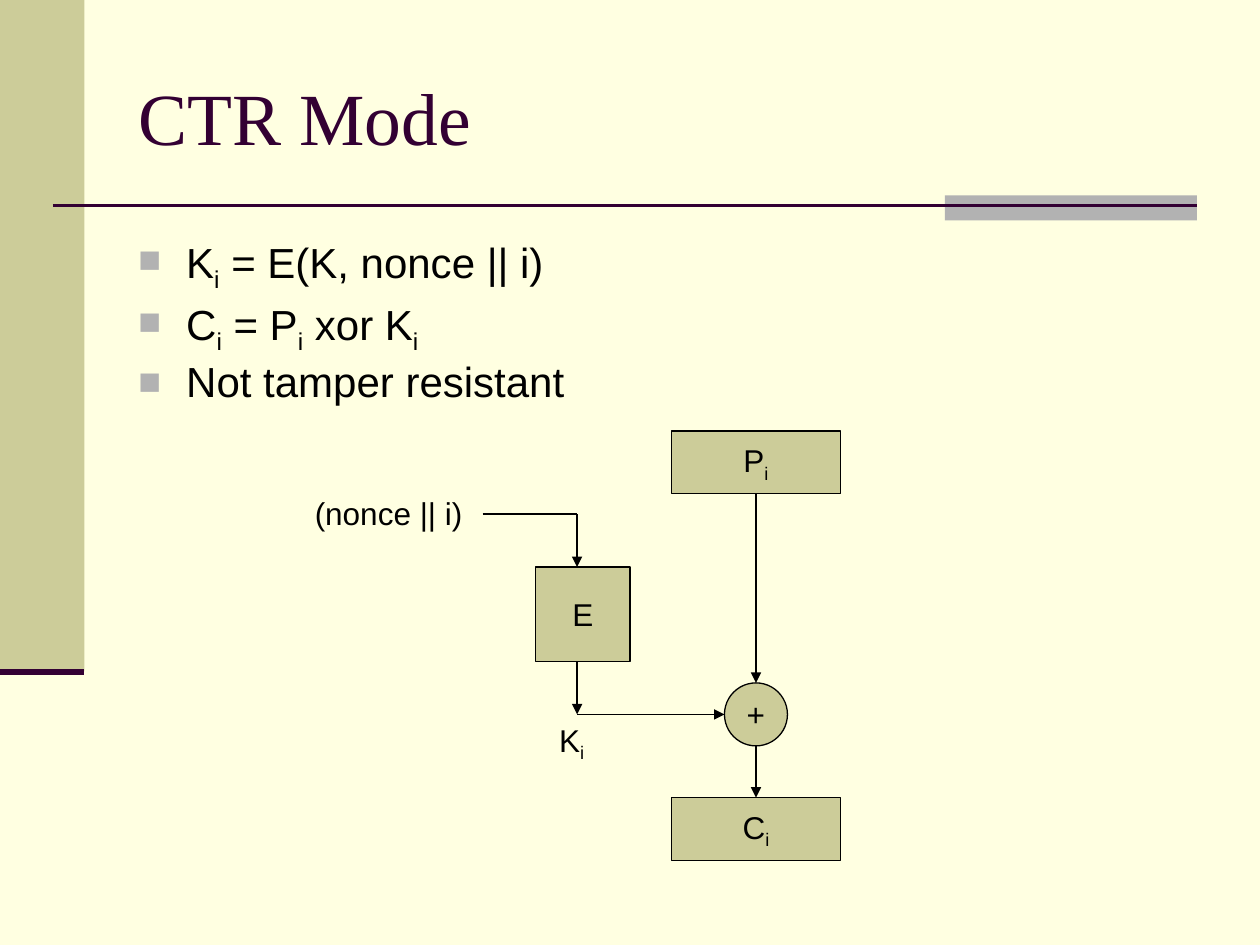
from lxml import etree
from pptx import Presentation
from pptx.dml.color import RGBColor
from pptx.enum.shapes import MSO_CONNECTOR, MSO_SHAPE
from pptx.enum.text import MSO_ANCHOR, MSO_AUTO_SIZE, PP_ALIGN
from pptx.oxml.ns import qn
from pptx.util import Inches, Pt

COLORS = {
    "paper": "FFFFE1",
    "olive": "CCCC99",
    "gray": "B2B2B2",
    "plum": "330033",
    "black": "000000",
}
RGB = {name: RGBColor.from_string(value) for name, value in COLORS.items()}


def add_runs(p, text, size, font="Arial", color="black"):
    for i, part in enumerate(text.split("_")):
        if part:
            r = p.add_run()
            r.text = part
            r.font.size = Pt(size)
            r.font.name = font
            r.font.color.rgb = RGB[color]
            if i % 2:
                r.font._element.set("baseline", "-25000")


def add_line(x1, y1, x2, y2, color="black", width=0.75, arrow=False):
    line = s.shapes.add_connector(
        MSO_CONNECTOR.STRAIGHT, Inches(x1), Inches(y1), Inches(x2), Inches(y2)
    )
    line.line.color.rgb = RGB[color]
    line.line.width = Pt(width)
    if arrow:
        etree.SubElement(line.line._get_or_add_ln(), qn("a:tailEnd"), type="triangle")
    etree.SubElement(line._element.spPr, qn("a:effectLst"))
    return line


prs = Presentation()
prs.slide_width = Inches(10)
prs.slide_height = Inches(7.5)
s = prs.slides.add_slide(prs.slide_layouts[6])
s.background.fill.solid()
s.background.fill.fore_color.rgb = RGB["paper"]

for x, y, w, h, color in [(0, 0, 0.67, 5.33, "olive"), (7.5, 1.55, 2, 0.2, "gray")]:
    sp = s.shapes.add_shape(MSO_SHAPE.RECTANGLE, Inches(x), Inches(y), Inches(w), Inches(h))
    sp.shadow.inherit = False
    sp.fill.solid()
    sp.fill.fore_color.rgb = RGB[color]
    sp.line.fill.background()
add_line(0.42, 1.63, 9.5, 1.63, "plum", 1.5)
add_line(0, 5.33, 0.67, 5.33, "plum", 3.5)

title = s.shapes.add_textbox(Inches(1), Inches(0.3), Inches(8.5), Inches(1.25))
tf = title.text_frame
tf.word_wrap = True
tf.vertical_anchor = MSO_ANCHOR.MIDDLE
add_runs(tf.paragraphs[0], "CTR Mode", 42, "Times New Roman", "plum")

body = s.shapes.add_textbox(Inches(1), Inches(1.83), Inches(8.5), Inches(1.51))
tf = body.text_frame
tf.word_wrap = True
bullets = ["K_i_ = E(K, nonce || i)", "C_i_ = P_i_ xor K_i_", "Not tamper resistant"]
for i, text in enumerate(bullets):
    p = tf.add_paragraph() if i else tf.paragraphs[0]
    p.line_spacing = 0.9
    if i:
        p.space_before = Pt(6)
    pPr = p._p.get_or_add_pPr()
    pPr.set("marL", str(Inches(0.38)))
    pPr.set("indent", str(-Inches(0.38)))
    buClr = etree.SubElement(pPr, qn("a:buClr"))
    etree.SubElement(buClr, qn("a:srgbClr"), val=COLORS["gray"])
    etree.SubElement(pPr, qn("a:buSzPct"), val="90000")
    etree.SubElement(pPr, qn("a:buFont"), typeface="Arial")
    etree.SubElement(pPr, qn("a:buChar"), char="■")
    add_runs(p, text, 24)

nodes = {}
for name, shape, x, y, w, h, text in [
    ("cipher", MSO_SHAPE.RECTANGLE, 4.25, 4.5, 0.75, 0.75, "E"),
    ("plaintext", MSO_SHAPE.RECTANGLE, 5.33, 3.42, 1.34, 0.5, "P_i_"),
    ("xor", MSO_SHAPE.OVAL, 5.75, 5.42, 0.5, 0.5, "+"),
    ("ciphertext", MSO_SHAPE.RECTANGLE, 5.33, 6.33, 1.34, 0.5, "C_i_"),
]:
    sp = s.shapes.add_shape(shape, Inches(x), Inches(y), Inches(w), Inches(h))
    sp.shadow.inherit = False
    sp.fill.solid()
    sp.fill.fore_color.rgb = RGB["olive"]
    sp.line.color.rgb = RGB["black"]
    sp.line.width = Pt(0.75)
    tf = sp.text_frame
    tf.word_wrap = False
    tf.vertical_anchor = MSO_ANCHOR.MIDDLE
    tf.paragraphs[0].alignment = PP_ALIGN.CENTER
    add_runs(tf.paragraphs[0], text, 18)
    nodes[name] = sp

add_line(3.83, 4.08, 4.58, 4.08)
add_line(4.58, 4.08, 4.58, 4.5, arrow=True)
add_line(4.58, 5.25, 4.58, 5.67, arrow=True)
add_line(4.58, 5.67, 5.75, 5.67, arrow=True)
plaintext_arrow = add_line(6, 3.92, 6, 5.42, arrow=True)
plaintext_arrow.begin_connect(nodes["plaintext"], 2)
plaintext_arrow.end_connect(nodes["xor"], 0)
ciphertext_arrow = add_line(6, 5.92, 6, 6.33, arrow=True)
ciphertext_arrow.end_connect(nodes["ciphertext"], 0)

for x, y, w, h, text in [(4.34, 5.67, 0.4, 0.44, "K_i_"), (2.4, 3.87, 1.37, 0.4, "(nonce || i)")]:
    label = s.shapes.add_textbox(Inches(x), Inches(y), Inches(w), Inches(h))
    tf = label.text_frame
    tf.word_wrap = False
    tf.auto_size = MSO_AUTO_SIZE.SHAPE_TO_FIT_TEXT
    add_runs(tf.paragraphs[0], text, 18)

prs.save("out.pptx")
